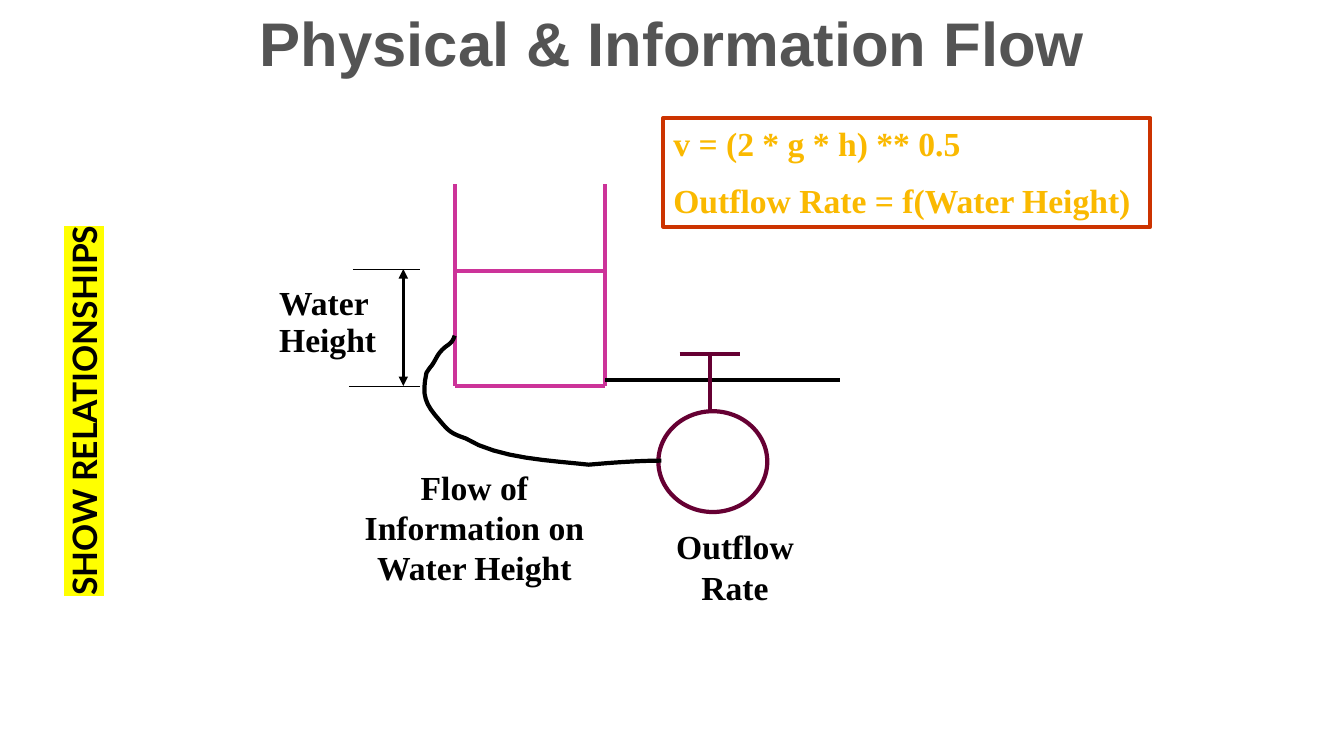
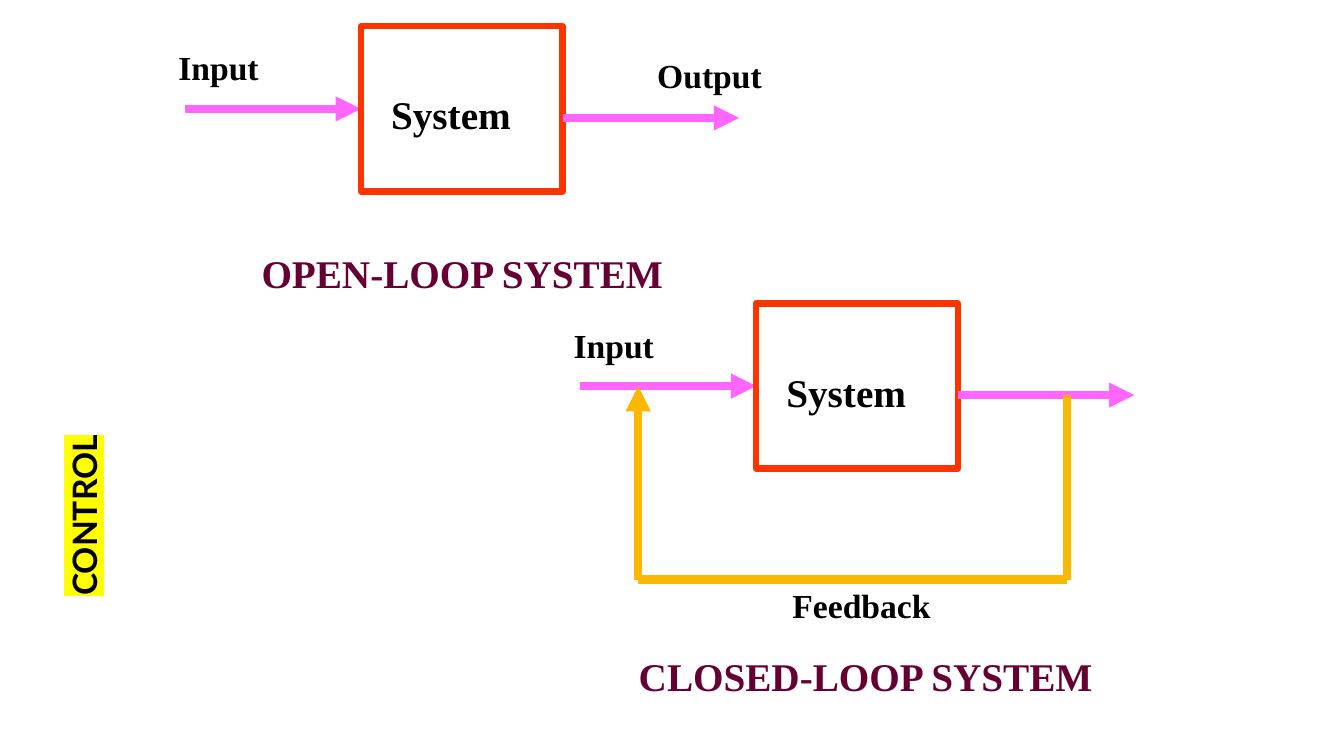
from pptx import Presentation
from pptx.dml.color import RGBColor
from pptx.enum.shapes import MSO_CONNECTOR, MSO_SHAPE
from pptx.enum.text import MSO_ANCHOR, PP_ALIGN
from pptx.oxml.ns import qn
from pptx.util import Inches, Pt
from lxml.etree import SubElement

BLACK = RGBColor(0x00, 0x00, 0x00)
GRAY = RGBColor(0x54, 0x54, 0x54)
PINK = RGBColor(0xCC, 0x33, 0x99)
WINE = RGBColor(0x66, 0x00, 0x33)
RUST = RGBColor(0xCC, 0x33, 0x00)
GOLD = RGBColor(0xFA, 0xB9, 0x00)
ROSE = RGBColor(0xFF, 0x66, 0xFF)
RED = RGBColor(0xFF, 0x33, 0x00)
YELLOW = "FFFF00"
SERIF = "Times New Roman"

# Tank sensor wire: start point, then Bezier triples, from the wire's corner
WIRE = [(0.33, 0), (0.30, 0.10), (0.25, 0.08), (0.18, 0.17),
        (0.15, 0.21), (0.13, 0.26), (0.10, 0.30),
        (0.08, 0.32), (0.05, 0.37), (0.05, 0.37),
        (0, 0.60), (0.04, 0.68), (0.18, 0.84),
        (0.28, 0.96), (0.30, 0.97), (0.44, 1.02),
        (0.76, 1.22), (1.30, 1.24), (1.66, 1.28),
        (1.89, 1.26), (2.15, 1.24), (2.38, 1.24)]


def write(shape, lines, size=24, color=BLACK, align=PP_ALIGN.LEFT,
          face=SERIF, gap=0, pitch=None):
    frame = shape.text_frame
    frame.word_wrap = True
    frame.vertical_anchor = MSO_ANCHOR.TOP
    for i, line in enumerate(lines):
        para = frame.paragraphs[0] if i == 0 else frame.add_paragraph()
        para.text = line
        para.alignment = align
        if pitch:
            para.line_spacing = pitch
        if i:
            para.space_before = Pt(gap)
        font = para.font
        font.name, font.size, font.bold = face, Pt(size), True
        font.color.rgb = color
    return frame


def label(slide, x, y, w, h, *lines, **style):
    box = slide.shapes.add_textbox(Inches(x), Inches(y), Inches(w), Inches(h))
    return write(box, lines, **style)


def frame_of(shapes, kind, x, y, w, h, color, width):
    shape = shapes.add_shape(kind, Inches(x), Inches(y), Inches(w), Inches(h))
    shape.shadow.inherit = False
    shape.fill.background()
    shape.line.color.rgb = color
    shape.line.width = Pt(width)
    return shape


def line(shapes, x1, y1, x2, y2, color, width, ends=()):
    link = shapes.add_connector(MSO_CONNECTOR.STRAIGHT, Inches(x1), Inches(y1),
                                Inches(x2), Inches(y2))
    link.line.color.rgb = color
    link.line.width = Pt(width)
    outline = link.line._get_or_add_ln()
    for end in ends:
        SubElement(outline, qn(f"a:{end}"), type="triangle")
    SubElement(link._element.spPr, qn("a:effectLst"))
    return link


def side_tag(slide, text):
    """Highlighted label that reads upwards along the left edge."""
    frame = label(slide, 0.58, 0.65, 0.61, 5.36, text, face="Lato")
    frame._txBody.bodyPr.set("vert", "vert270")
    props = frame.paragraphs[0].runs[0]._r.get_or_add_rPr()
    SubElement(SubElement(props, qn("a:highlight")), qn("a:srgbClr"), val=YELLOW)


def tank(slide, x, y, w, h):
    parts = slide.shapes.add_group_shape().shapes
    level = y + 0.86
    for x1, y1, x2, y2 in [(x, y, x, y + h), (x, y + h, x + w, y + h),
                           (x + w, y + h, x + w, y), (x, level, x + w, level)]:
        line(parts, x1, y1, x2, y2, PINK, 3)


def valve(slide, x, y):
    """Outflow pipe with its valve; x, y is the top left of the group."""
    parts = slide.shapes.add_group_shape().shapes
    line(parts, x, y + 0.26, x + 2.33, y + 0.26, BLACK, 3)
    line(parts, x + 1.04, y, x + 1.04, y + 0.57, WINE, 3)
    frame_of(parts, MSO_SHAPE.OVAL, x + 0.53, y + 0.57, 1.08, 1, WINE, 3)
    line(parts, x + 0.74, y, x + 1.34, y, WINE, 3)


def gauge(slide, x, y, h):
    """Water height label with its dimension lines."""
    label(slide, x, y + 0.25, 1.25, 0.7, "Water", "Height", gap=12, pitch=0.5)
    line(slide.shapes, x + 0.83, y, x + 1.5, y, BLACK, 0.75)
    line(slide.shapes, x + 0.79, y + h, x + 1.5, y + h, BLACK, 0.75)
    line(slide.shapes, x + 1.33, y, x + 1.33, y + h, BLACK, 2.25,
         ("headEnd", "tailEnd"))


def wire(slide, x, y, steps=8):
    points = [WIRE[0]]
    for i in range(0, len(WIRE) - 1, 3):
        for step in range(1, steps + 1):
            t = step / steps
            mix = ((1 - t) ** 3, 3 * t * (1 - t) ** 2, 3 * t * t * (1 - t), t ** 3)
            points.append(tuple(sum(m * p[axis] for m, p in zip(mix, WIRE[i:i + 4]))
                                for axis in (0, 1)))
    spots = [(Inches(x + px), Inches(y + py)) for px, py in points]
    path = slide.shapes.build_freeform(*spots[0])
    path.add_line_segments(spots[1:], close=False)
    curve = path.convert_to_shape()
    curve.shadow.inherit = False
    curve.fill.background()
    curve.line.color.rgb = BLACK
    curve.line.width = Pt(3)


def flow_slide(slide):
    title = label(slide, 2.42, 0, 8.5, 0.83, "Physical & Information Flow",
                  size=44, color=GRAY, align=PP_ALIGN.CENTER, face="Arial")
    title.vertical_anchor = MSO_ANCHOR.MIDDLE
    tank(slide, 4.51, 1.83, 1.49, 2)
    valve(slide, 6, 3.51)
    gauge(slide, 2.67, 2.67, 1.16)
    wire(slide, 4.18, 3.33)
    label(slide, 6.25, 5.17, 2.08, 0.91, "Outflow Rate", align=PP_ALIGN.CENTER)
    label(slide, 3.33, 4.58, 2.75, 1.31, "Flow of Information on Water Height",
          align=PP_ALIGN.CENTER)
    # Formula box
    box = frame_of(slide.shapes, MSO_SHAPE.RECTANGLE, 6.58, 1.17, 4.83, 1.08, RUST, 3)
    write(box, ["v = (2 * g * h) ** 0.5", "Outflow Rate = f(Water Height)"],
          color=GOLD, gap=12)
    side_tag(slide, "SHOW RELATIONSHIPS")


def system(slide, x, y):
    """System box with its input and output arrows."""
    arrow = line(slide.shapes, x + 0.16, y + 0.82, x + 1.91, y + 0.82, ROSE, 6,
                 ["tailEnd"])
    box = frame_of(slide.shapes, MSO_SHAPE.RECTANGLE, x + 1.91, y, 2, 1.64, RED, 4.5)
    frame = write(box, ["System"], size=28)
    frame.margin_left, frame.margin_top = Inches(0.3), Inches(0.64)
    arrow.end_connect(box, 1)
    line(slide.shapes, x + 3.91, y + 0.91, x + 5.66, y + 0.91, ROSE, 6, ["tailEnd"])
    label(slide, x, y + 0.16, 1.42, 0.5, "Input")


def feedback(slide, x, y, w, h):
    """Path from the output, below the box, back up to the input."""
    low = y + h
    line(slide.shapes, x + w, y + 0.09, x + w, low, GOLD, 6)
    line(slide.shapes, x + w, low, x, low, GOLD, 6)
    line(slide.shapes, x, low, x, y, GOLD, 6, ["tailEnd"])
    label(slide, x + 0.34, low, 3.75, 0.5, "Feedback", align=PP_ALIGN.CENTER)


def loop_slide(slide):
    system(slide, 1.67, 0.26)
    label(slide, 6.42, 0.5, 1.42, 0.5, "Output")
    system(slide, 5.59, 3.01)
    feedback(slide, 6.33, 3.83, 4.25, 1.92)
    for x, y, text in [(2, 2.42, "OPEN-LOOP SYSTEM"), (6, 6.42, "CLOSED-LOOP SYSTEM")]:
        label(slide, x, y, 5.17, 0.57, text, size=28, color=WINE,
              align=PP_ALIGN.CENTER)
    side_tag(slide, "CONTROL")


def main():
    deck = Presentation()
    deck.slide_width, deck.slide_height = Inches(13.33), Inches(7.5)
    for build in (flow_slide, loop_slide):
        build(deck.slides.add_slide(deck.slide_layouts[6]))
    deck.save("out.pptx")


if __name__ == "__main__":
    main()
